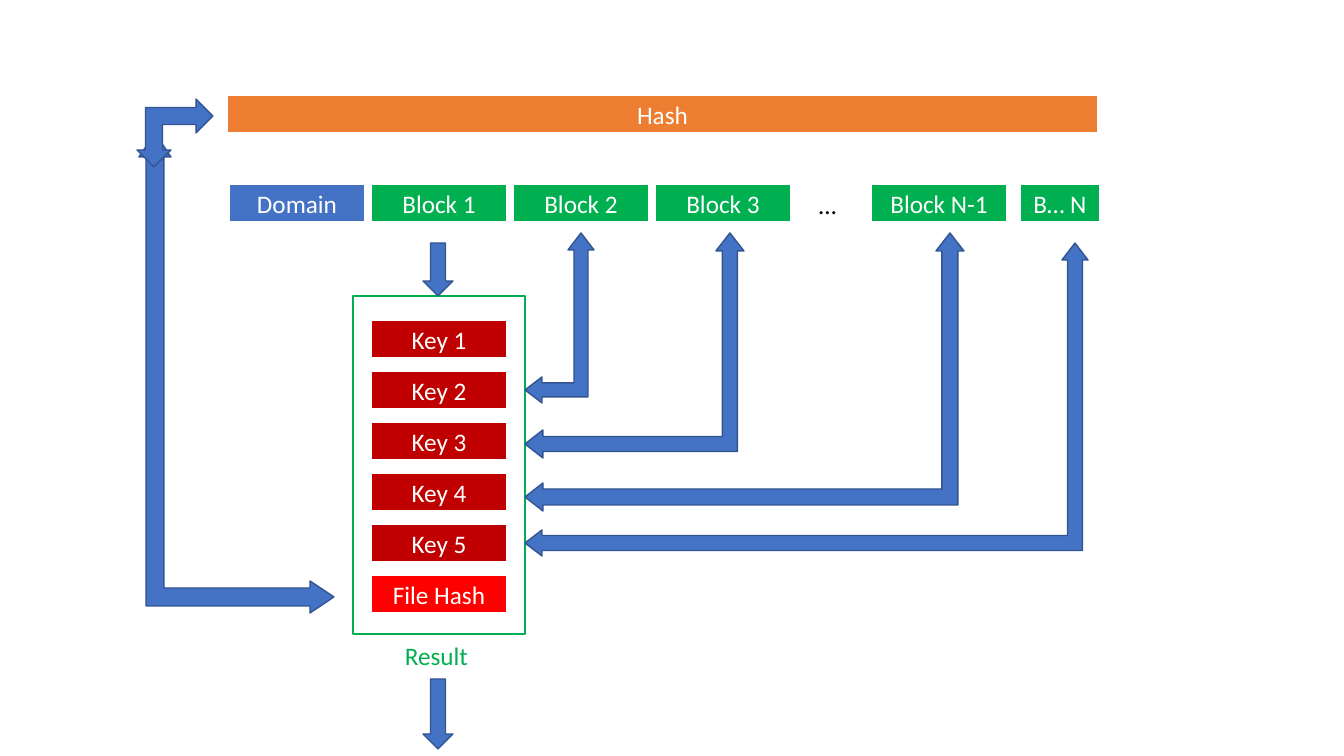
import dataclasses
import pptx
import pptx.util
import pptx.dml.color
import pptx.enum.shapes
import pptx.enum.text

KIND = pptx.enum.shapes.MSO_SHAPE
ALIGN = pptx.enum.text.PP_ALIGN
ANCHOR = pptx.enum.text.MSO_ANCHOR
SCALE = 914400 / 100.8


@dataclasses.dataclass
class Theme:
    font: str = "Calibri"
    size: int = 18
    line: int = 1
    white: str = "FFFFFF"
    black: str = "000000"
    blue: str = "4472C4"
    navy: str = "325491"
    green: str = "00B050"
    orange: str = "ED7D31"
    crimson: str = "C00000"
    red: str = "FF0000"


def px(value):
    return round(value * SCALE)


def color(code):
    return pptx.dml.color.RGBColor.from_string(code)


def assign(target, values):
    for name, value in values.items():
        setattr(target, name, value)


class Painter:
    def __init__(self, page, theme):
        self.page = page
        self.theme = theme

    def shape(self, kind, place, fill, line):
        shape = self.page.shapes.add_shape(kind, *map(px, place))
        shape.shadow.inherit = False
        if fill:
            shape.fill.solid()
            shape.fill.fore_color.rgb = color(fill)
        else:
            shape.fill.background()
        shape.line.color.rgb = color(line)
        shape.line.width = pptx.util.Pt(self.theme.line)
        return shape

    def add_text(self, shape, text, ink, align, anchor):
        frame = shape.text_frame
        assign(frame, {"word_wrap": True, "vertical_anchor": anchor})
        para = frame.paragraphs[0]
        para.alignment = align
        span = para.add_run()
        span.text = text
        assign(span.font, {"name": self.theme.font, "size": pptx.util.Pt(self.theme.size)})
        span.font.color.rgb = color(ink)

    def box(self, text, place, fill):
        shape = self.shape(KIND.RECTANGLE, place, fill, self.theme.white)
        self.add_text(shape, text, self.theme.white, ALIGN.CENTER, ANCHOR.MIDDLE)

    def label(self, text, place, ink):
        shape = self.page.shapes.add_textbox(*map(px, place))
        self.add_text(shape, text, ink, ALIGN.LEFT, ANCHOR.TOP)

    def arrow(self, kind, place):
        return self.shape(kind, place, self.theme.blue, self.theme.navy)

    def bent_arrow(self, place, shaft, head, length, flips=()):
        shape = self.arrow(KIND.LEFT_UP_ARROW, place)
        short_side = min(place[2:])
        for index, value in enumerate((shaft, head, length)):
            shape.adjustments[index] = value / short_side
        for flip in flips:
            shape.element.spPr.xfrm.set(flip, "1")


theme = Theme()
deck = pptx.Presentation()
assign(deck, {"slide_width": px(1344), "slide_height": px(756)})
painter = Painter(deck.slides.add_slide(deck.slide_layouts[6]), theme)

ROW_TOP, BOX_WIDTH, BOX_HEIGHT = 184, 136, 38
FIRST_LEFT, COLUMN_STEP = 229, 142
KEY_LEFT, KEY_TOP, KEY_STEP = FIRST_LEFT + COLUMN_STEP, 320, 51
FRAME = (353, 296, 172, 338)
FRAME_RIGHT = FRAME[0] + FRAME[2]

for column, text in enumerate(("Domain", "Block 1", "Block 2", "Block 3")):
    left = FIRST_LEFT + column * COLUMN_STEP
    fill = theme.green if column else theme.blue
    painter.box(text, (left, ROW_TOP, BOX_WIDTH, BOX_HEIGHT), fill)
painter.label("…", (809, ROW_TOP, 49, 40), theme.black)
for text, left, width in (("Block N-1", 871, BOX_WIDTH), ("B… N", 1020, 80)):
    painter.box(text, (left, ROW_TOP, width, BOX_HEIGHT), theme.green)
painter.box("Hash", (227, 95, 871, BOX_HEIGHT), theme.orange)

keys = [f"Key {number}" for number in range(1, 6)] + ["File Hash"]
for row, text in enumerate(keys):
    fill = theme.red if text == "File Hash" else theme.crimson
    painter.box(text, (KEY_LEFT, KEY_TOP + row * KEY_STEP, BOX_WIDTH, BOX_HEIGHT), fill)

painter.shape(KIND.RECTANGLE, FRAME, None, theme.green)
painter.label("Result", (395, 635, BOX_WIDTH, 40), theme.green)
for top, height in ((243, 53), (679, 70)):
    painter.arrow(KIND.DOWN_ARROW, (423, top, 30, height))

painter.bent_arrow((139, 133, 195, 480), 18, 16, 24, ["flipH"])
painter.bent_arrow((137, 99, 76, 68), 17, 17, 17, ["flipH", "flipV"])
for top, width, height, shaft, head, length in (
    (233, 69, 170, 14, 13, 17),
    (233, 219, 225, 15, 14, 18),
    (233, 439, 278, 16, 14, 18),
    (243, 563, 313, 15, 13, 17),
):
    painter.bent_arrow((FRAME_RIGHT, top, width, height), shaft, head, length)

deck.save("out.pptx")
